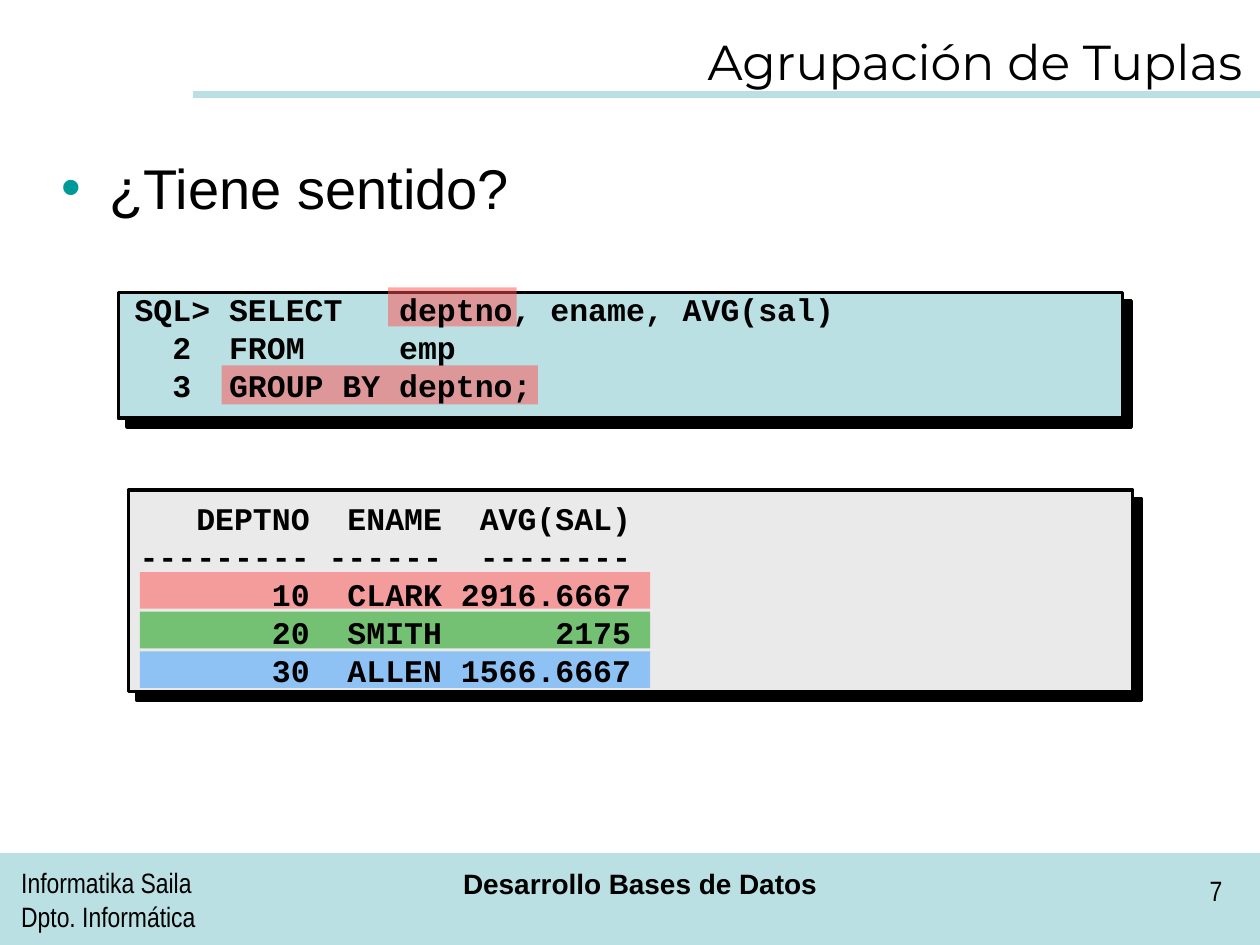
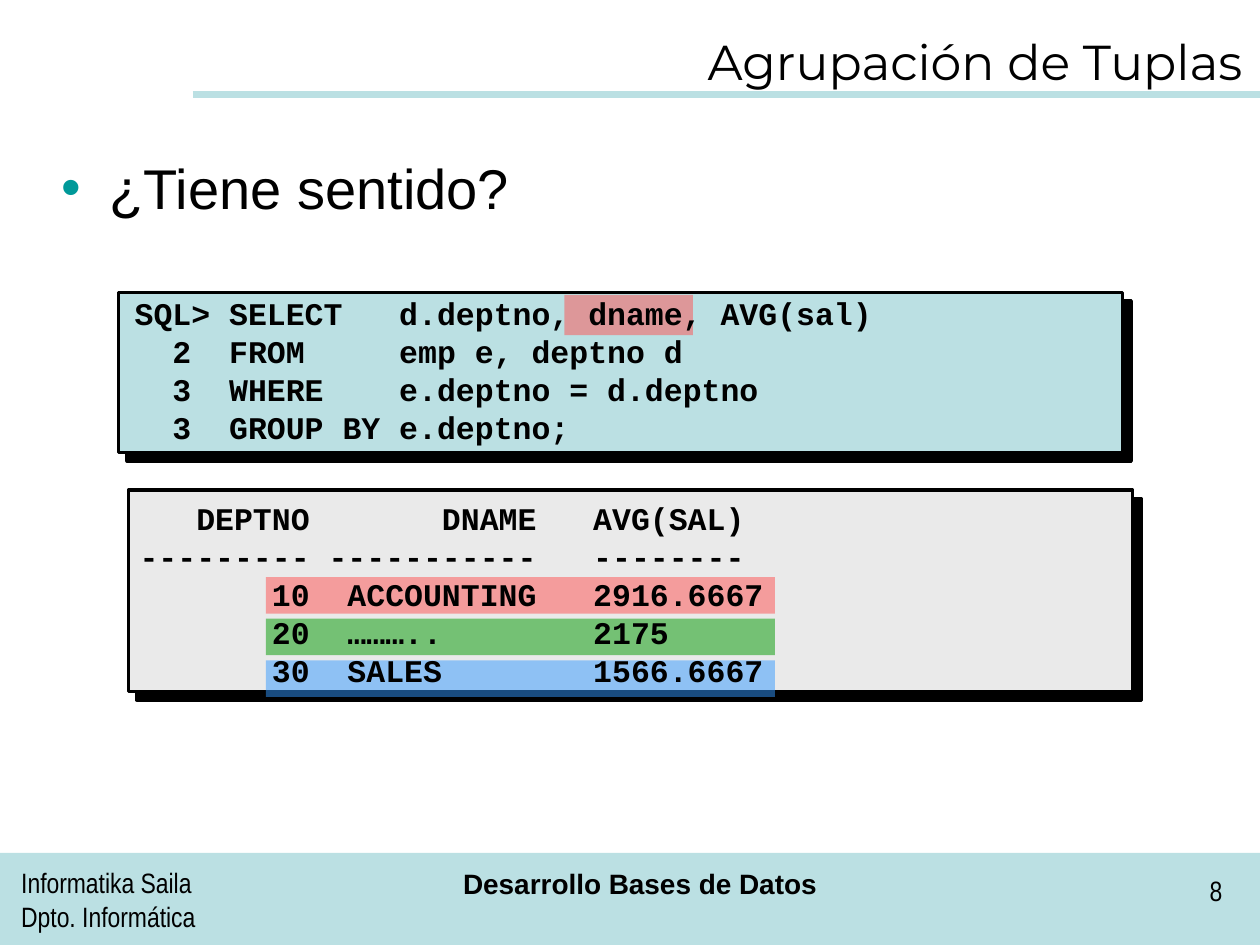
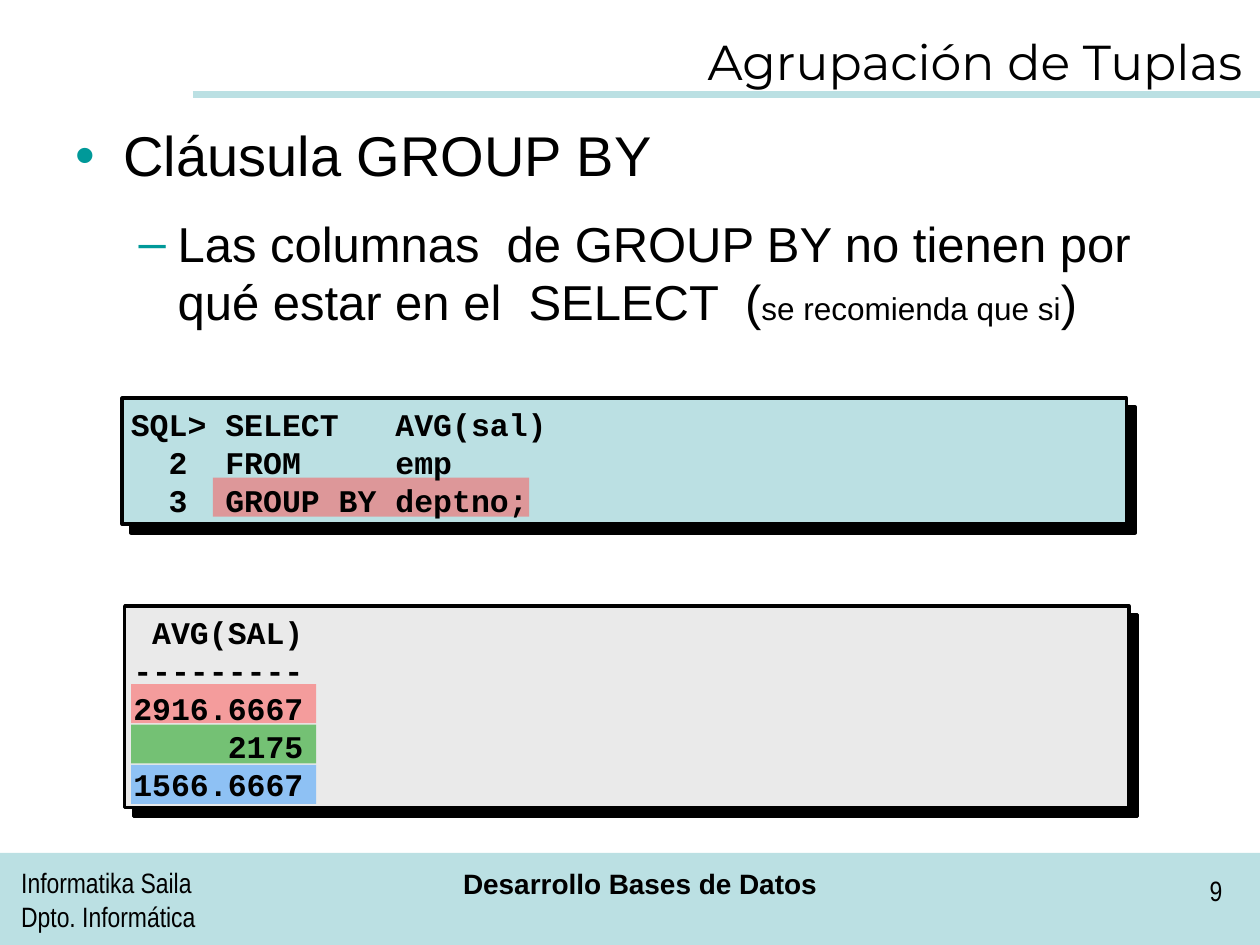
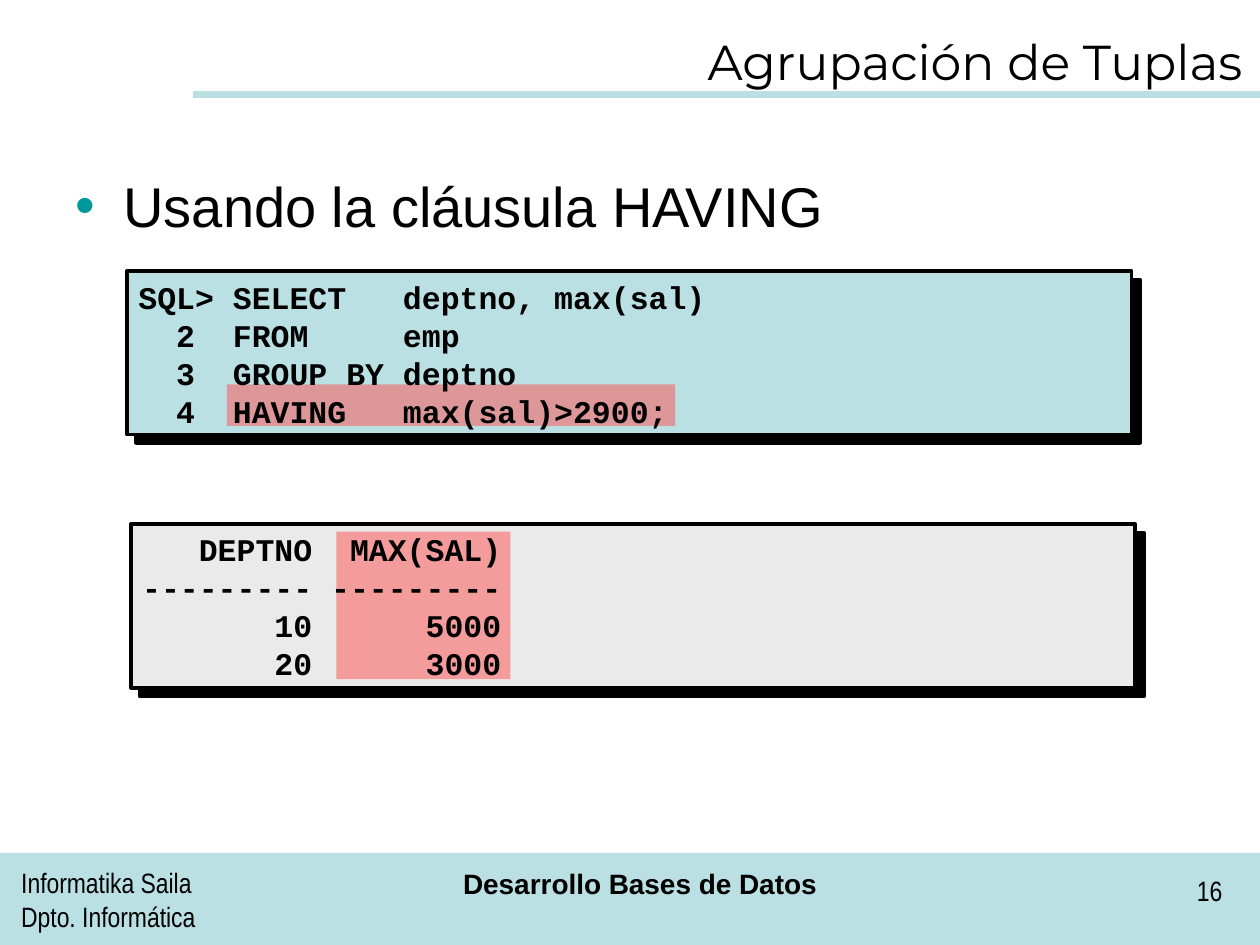
from dataclasses import dataclass
from typing import NamedTuple

from lxml import etree
from pptx import Presentation
from pptx.dml.color import RGBColor
from pptx.enum.shapes import MSO_CONNECTOR, MSO_SHAPE
from pptx.enum.text import MSO_ANCHOR, MSO_AUTO_SIZE, PP_ALIGN
from pptx.oxml.ns import qn
from pptx.util import Inches, Pt

BLACK = RGBColor(0x00, 0x00, 0x00)
PALE_TEAL = RGBColor(0xBB, 0xE0, 0xE3)
LIGHT_GRAY = RGBColor(0xEA, 0xEA, 0xEA)
BULLET_TEAL = RGBColor(0x00, 0x99, 0x99)
RED = RGBColor(0xFF, 0x50, 0x50)
GREEN = RGBColor(0x00, 0x99, 0x00)
BLUE = RGBColor(0x33, 0x99, 0xFF)

RECTANGLE = MSO_SHAPE.RECTANGLE
STRAIGHT = MSO_CONNECTOR.STRAIGHT
LEFT, CENTER, RIGHT = PP_ALIGN.LEFT, PP_ALIGN.CENTER, PP_ALIGN.RIGHT
TOP, MIDDLE = MSO_ANCHOR.TOP, MSO_ANCHOR.MIDDLE
NO_AUTOFIT = MSO_AUTO_SIZE.NONE

TITLE = "Agrupación de Tuplas"
PANEL_WIDTH = 7.97


class Area(NamedTuple):
    left: float
    top: float
    width: float
    height: float


class TextStyle(NamedTuple):
    font: str
    size: int
    bold: bool = False
    align: PP_ALIGN = LEFT
    anchor: MSO_ANCHOR = TOP
    line_spacing: Pt | None = None


class BulletStyle(NamedTuple):
    character: str
    size: int
    margin: float
    hanging: float
    spacing: int
    line_spacing: Pt | None = None


class Highlight(NamedTuple):
    area: Area
    color: RGBColor = RED


class Piece(NamedTuple):
    text: str
    size: int | None = None


class Bullet(NamedTuple):
    pieces: list[Piece]
    level: int = 0


@dataclass
class Panel:
    area: Area
    text_area: Area
    fill: RGBColor
    lines: list[str]


@dataclass
class SlideContent:
    number: int
    body_area: Area
    bullets: list[Bullet]
    panels: list[Panel]
    highlights: list[Highlight]


TITLE_STYLE = TextStyle("Montserrat", 28, align=RIGHT, anchor=MIDDLE)
CODE_STYLE = TextStyle("Courier New", 18, bold=True, anchor=MIDDLE, line_spacing=Pt(21.7))
DEPARTMENT_STYLE = TextStyle("Arial Narrow", 16, line_spacing=Pt(19.4))
COURSE_STYLE = TextStyle("Arial", 16, bold=True, align=CENTER)
NUMBER_STYLE = TextStyle("Arial Narrow", 16, align=RIGHT)
BULLET_STYLES = [
    BulletStyle("•", 32, 0.38, 0.38, 8),
    BulletStyle("–", 28, 0.81, 0.31, 7, Pt(33.1)),
]


def group_rows(first: Area, pitch: float) -> list[Highlight]:
    return [
        Highlight(first._replace(top=first.top + index * pitch), color)
        for index, color in enumerate((RED, GREEN, BLUE))
    ]


def query(left: float, top: float, height: float, text_area: Area, *lines: str) -> Panel:
    return Panel(Area(left, top, PANEL_WIDTH, height), text_area, PALE_TEAL, list(lines))


def result(left: float, top: float, height: float, text_area: Area, *lines: str) -> Panel:
    return Panel(Area(left, top, PANEL_WIDTH, height), text_area, LIGHT_GRAY, list(lines))


QUESTION = [Bullet([Piece("¿Tiene sentido?")])]
QUESTION_AREA = Area(0.39, 1.17, 8.98, 0.7)

SLIDES = [
    SlideContent(
        7, QUESTION_AREA, QUESTION,
        [
            query(
                0.94, 2.32, 1, Area(0.97, 2.24, 8, 1.03),
                "SQL> SELECT   deptno, ename, AVG(sal)",
                "  2  FROM     emp",
                "  3  GROUP BY deptno;",
            ),
            result(
                1.02, 3.89, 1.6, Area(1.01, 3.9, 8, 1.63),
                "   DEPTNO  ENAME  AVG(SAL)",
                "--------- ------  --------",
                "       10  CLARK 2916.6667",
                "       20  SMITH      2175",
                "       30  ALLEN 1566.6667",
            ),
        ],
        [
            Highlight(Area(1.76, 2.9, 2.51, 0.31)),
            Highlight(Area(3.08, 2.28, 1.02, 0.31)),
            *group_rows(Area(1.11, 4.54, 4.05, 0.29), 0.315),
        ],
    ),
    SlideContent(
        8, QUESTION_AREA, QUESTION,
        [
            query(
                0.94, 2.32, 1.27, Area(0.97, 2.3, 7.39, 1.27),
                "SQL> SELECT   d.deptno, dname, AVG(sal)",
                "  2  FROM     emp e, deptno d",
                "  3  WHERE    e.deptno = d.deptno",
                "  3  GROUP BY e.deptno;",
            ),
            result(
                1.02, 3.89, 1.6, Area(1.01, 3.9, 8, 1.63),
                "   DEPTNO       DNAME   AVG(SAL)",
                "--------- -----------   --------",
                "       10  ACCOUNTING   2916.6667",
                "       20  ………..        2175",
                "       30  SALES        1566.6667",
            ),
        ],
        [
            Highlight(Area(4.48, 2.34, 1.02, 0.32)),
            *group_rows(Area(2.11, 4.58, 4.04, 0.29), 0.33),
        ],
    ),
    SlideContent(
        9, Area(0.5, 0.91, 9, 4.49),
        [
            Bullet([Piece("Cláusula GROUP BY")]),
            Bullet(
                [
                    Piece("Las columnas  de GROUP BY no tienen por qué estar en el  SELECT  ("),
                    Piece("se recomienda que si", 18),
                    Piece(")"),
                ],
                level=1,
            ),
        ],
        [
            query(
                0.97, 3.16, 1, Area(0.94, 3.15, 8, 1.03),
                "SQL> SELECT   AVG(sal)",
                "  2  FROM     emp",
                "  3  GROUP BY deptno;",
            ),
            result(
                0.99, 4.81, 1.6, Area(0.96, 4.8, 8, 1.63),
                " AVG(SAL)",
                "---------",
                "2916.6667",
                "     2175",
                "1566.6667",
            ),
        ],
        [
            Highlight(Area(1.69, 3.79, 2.51, 0.31)),
            *group_rows(Area(1.04, 5.43, 1.47, 0.31), 0.32),
        ],
    ),
    SlideContent(
        16, Area(0.5, 1.31, 9, 4.49),
        [Bullet([Piece("Usando la cláusula HAVING")])],
        [
            query(
                1.01, 2.15, 1.3, Area(1, 2.14, 8, 1.33),
                "SQL> SELECT   deptno, max(sal)",
                "  2  FROM     emp",
                "  3  GROUP BY deptno",
                "  4  HAVING   max(sal)>2900;",
            ),
            result(
                1.04, 4.16, 1.3, Area(1.03, 4.14, 8, 1.33),
                "   DEPTNO  MAX(SAL)",
                "--------- ---------",
                "       10      5000",
                "       20      3000",
            ),
        ],
        [
            Highlight(Area(1.8, 3.05, 3.56, 0.33)),
            Highlight(Area(2.67, 4.22, 1.38, 1.17)),
        ],
    ),
]


def to_inches(area: Area) -> list[Inches]:
    return [Inches(length) for length in area]


def place(shape, area: Area) -> None:
    shape.left, shape.top, shape.width, shape.height = to_inches(area)


def write_lines(text_frame, lines: list[str], style: TextStyle) -> None:
    text_frame.word_wrap = True
    text_frame.auto_size = NO_AUTOFIT
    text_frame.vertical_anchor = style.anchor
    text_frame.text = "\n".join(lines)
    for paragraph in text_frame.paragraphs:
        paragraph.alignment = style.align
        paragraph.line_spacing = style.line_spacing
        paragraph.font.name = style.font
        paragraph.font.size = Pt(style.size)
        paragraph.font.bold = style.bold
        paragraph.font.color.rgb = BLACK


def add_text(slide, area: Area, lines: list[str], style: TextStyle):
    text_box = slide.shapes.add_textbox(*to_inches(area))
    write_lines(text_box.text_frame, lines, style)
    return text_box


def add_rectangle(slide, area: Area, fill: RGBColor):
    rectangle = slide.shapes.add_shape(RECTANGLE, *to_inches(area))
    rectangle.shadow.inherit = False
    rectangle.fill.solid()
    rectangle.fill.fore_color.rgb = fill
    rectangle.line.fill.background()
    return rectangle


def add_panel_box(slide, panel: Panel) -> None:
    box = add_rectangle(slide, panel.area, panel.fill)
    box.line.color.rgb = BLACK
    box.line.width = Pt(2)
    effects = box.element.spPr.find(qn("a:effectLst"))
    shadow = etree.SubElement(
        effects, qn("a:outerShdw"), dist=str(Pt(7.1)), dir=str(45 * 60000), algn="ctr", rotWithShape="0"
    )
    etree.SubElement(shadow, qn("a:srgbClr"), val=str(BLACK))


def add_highlight(slide, highlight: Highlight) -> None:
    rectangle = add_rectangle(slide, highlight.area, highlight.color)
    color = rectangle.element.spPr.find(qn("a:solidFill")).find(qn("a:srgbClr"))
    etree.SubElement(color, qn("a:alpha"), val="50000")


def write_bullet(paragraph, bullet: Bullet) -> None:
    style = BULLET_STYLES[bullet.level]
    paragraph.level = bullet.level
    paragraph.space_before = paragraph.space_after = Pt(style.spacing)
    paragraph.line_spacing = style.line_spacing
    properties = paragraph._p.get_or_add_pPr()
    properties.set("marL", str(Inches(style.margin)))
    properties.set("indent", str(-Inches(style.hanging)))
    bullet_color = etree.SubElement(properties, qn("a:buClr"))
    etree.SubElement(bullet_color, qn("a:srgbClr"), val=str(BULLET_TEAL))
    etree.SubElement(properties, qn("a:buFont"), typeface="Arial")
    etree.SubElement(properties, qn("a:buChar"), char=style.character)
    paragraph.font.name = "Arial"
    paragraph.font.size = Pt(style.size)
    paragraph.font.color.rgb = BLACK
    for piece in bullet.pieces:
        run = paragraph.add_run()
        run.text = piece.text
        if piece.size:
            run.font.size = Pt(piece.size)


def fill_body(body, area: Area, bullets: list[Bullet]) -> None:
    place(body, area)
    text_frame = body.text_frame
    text_frame.auto_size = NO_AUTOFIT
    for index, bullet in enumerate(bullets):
        paragraph = text_frame.add_paragraph() if index else text_frame.paragraphs[0]
        write_bullet(paragraph, bullet)


def move_frame_to_layout(slide, layout) -> None:
    band = add_rectangle(slide, Area(0, 6.77, 10, 0.76), PALE_TEAL)
    rule = slide.shapes.add_connector(STRAIGHT, Inches(1.53), Inches(0.75), Inches(10), Inches(0.75))
    rule.line.color.rgb = PALE_TEAL
    rule.line.width = Pt(4)
    etree.SubElement(rule.element.spPr, qn("a:effectLst"))
    department = add_text(
        slide, Area(0.07, 6.82, 2.33, 0.52), ["Informatika Saila", "Dpto. Informática"], DEPARTMENT_STYLE
    )
    course = add_text(slide, Area(3.11, 6.83, 3.94, 0.52), ["Desarrollo Bases de Datos"], COURSE_STYLE)
    for shape in (band, rule, department, course):
        layout.shapes.element.append(shape.element)


def fill_slide(slide, content: SlideContent) -> None:
    title = slide.shapes.title
    place(title, Area(0.67, 0.05, 9.29, 0.86))
    write_lines(title.text_frame, [TITLE], TITLE_STYLE)
    fill_body(slide.placeholders[1], content.body_area, content.bullets)
    for panel in content.panels:
        add_panel_box(slide, panel)
    for highlight in content.highlights:
        add_highlight(slide, highlight)
    for panel in content.panels:
        add_text(slide, panel.text_area, panel.lines, CODE_STYLE)
    add_text(slide, Area(8.54, 6.88, 1.26, 0.52), [str(content.number)], NUMBER_STYLE)


def main() -> None:
    presentation = Presentation()
    presentation.slide_width = Inches(10)
    presentation.slide_height = Inches(7.5)
    layout = presentation.slide_layouts[1]
    slides = [presentation.slides.add_slide(layout) for _ in SLIDES]
    move_frame_to_layout(slides[0], layout)
    for slide, content in zip(slides, SLIDES):
        fill_slide(slide, content)
    presentation.save("out.pptx")


if __name__ == "__main__":
    main()
